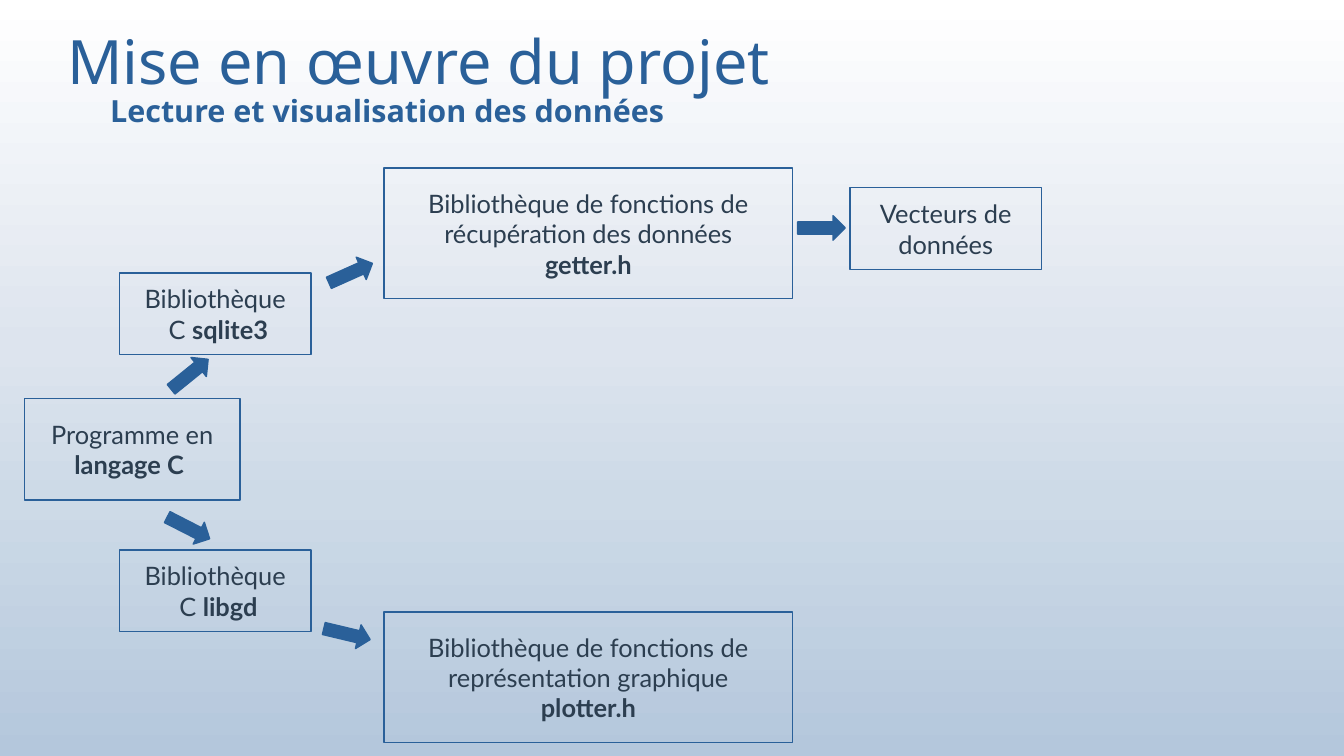
from copy import deepcopy

from pptx import Presentation
from pptx.dml.color import RGBColor
from pptx.enum.shapes import MSO_SHAPE as Shape
from pptx.enum.text import MSO_ANCHOR as Anchor, PP_ALIGN as Align
from pptx.oxml.ns import qn
from pptx.util import Inches, Pt

BLUE = RGBColor(0x2A, 0x60, 0x99)
INK = RGBColor(0x2C, 0x3E, 0x50)
BACKGROUND = [
    (0, RGBColor(0xFF, 0xFF, 0xFF)),
    (0.46, RGBColor(0xDD, 0xE4, 0xEE)),
    (0.66, RGBColor(0xCD, 0xDA, 0xE7)),
    (1, RGBColor(0xB4, 0xC7, 0xDC)),
]

TITLE = "Mise en œuvre du projet"
SUBTITLE = "Lecture et visualisation des données"

LARGE, MEDIUM, SMALL = (3.35, 1.07), (1.77, 0.83), (1.57, 0.67)
ARROW = (0.39, 0.2)

# left, top, size, paragraphs of (text, bold) runs
BOXES = [
    (0.2, 3.27, MEDIUM, [[("Programme en", False)], [("langage C ", True)]]),
    (0.98, 2.24, SMALL, [[("Bibliothèque", False)], [(" C ", False), ("sqlite3", True)]]),
    (0.98, 4.51, SMALL, [[("Bibliothèque", False)], [(" C ", False), ("libgd", True)]]),
    (3.15, 1.38, LARGE, [
        [("Bibliothèque de fonctions de récupération des données", False)],
        [("getter.h", True)]]),
    (3.15, 5.02, LARGE, [
        [("Bibliothèque de fonctions de représentation graphique", False)],
        [("plotter.h", True)]]),
    (6.97, 1.54, SMALL, [[("Vecteurs de données", False)]]),
]

# left, top, rotation in degrees
ARROWS = [
    (1.36, 2.97, 321),
    (2.68, 2.14, 335.9),
    (6.54, 1.77, 0),
    (1.35, 4.23, 27.1),
    (2.65, 5.1, 13.4),
]


def style_font(font, name, size, color):
    font.name, font.size = name, Pt(size)
    font.color.rgb = color


def paint_background(page):
    fill = page.background.fill
    fill.gradient()
    fill.gradient_angle = 270
    stop_list = page.element.find(".//" + qn("a:gsLst"))
    for _ in BACKGROUND[2:]:
        stop_list.append(deepcopy(stop_list[0]))
    for stop, (position, color) in zip(fill.gradient_stops, BACKGROUND):
        stop.position = position
        stop.color.rgb = color


def add_outlined(page, kind, left, top, size):
    shape = page.shapes.add_shape(kind, *map(Inches, (left, top, *size)))
    shape.shadow.inherit = False
    shape.line.color.rgb = BLUE
    shape.line.width = Pt(0.85)
    return shape


def add_box(page, left, top, size, paragraphs):
    box = add_outlined(page, Shape.RECTANGLE, left, top, size)
    box.fill.background()
    frame = box.text_frame
    frame.word_wrap = True
    frame.vertical_anchor = Anchor.MIDDLE
    for index, runs in enumerate(paragraphs):
        para = frame.add_paragraph() if index else frame.paragraphs[0]
        para.alignment = Align.CENTER
        style_font(para.font, "Lato", 15, INK)
        for text, bold in runs:
            span = para.add_run()
            span.text = text
            style_font(span.font, "Lato", 15, INK)
            span.font.bold = bold


def add_arrow(page, left, top, rotation):
    arrow = add_outlined(page, Shape.RIGHT_ARROW, left, top, ARROW)
    arrow.rotation = rotation
    arrow.fill.solid()
    arrow.fill.fore_color.rgb = BLUE


def add_headings(page):
    title = page.shapes.title
    title.left, title.top, title.width, title.height = map(Inches, (0.55, -0.03, 9.92, 1.04))
    frame = title.text_frame
    frame.text = TITLE
    frame.margin_left = frame.margin_right = frame.margin_top = frame.margin_bottom = 0
    subtitle = page.shapes.add_textbox(*map(Inches, (0.29, 0.71, 5.77, 0.39)))
    subtitle.text_frame.text = SUBTITLE
    for shape, size, align in ((title, 36.1, Align.LEFT), (subtitle, 18, Align.CENTER)):
        shape.text_frame.word_wrap = True
        shape.text_frame.vertical_anchor = Anchor.MIDDLE
        para = shape.text_frame.paragraphs[0]
        para.alignment = align
        style_font(para.font, "Noto Sans", size, BLUE)
    subtitle.text_frame.paragraphs[0].font.bold = True


def main():
    deck = Presentation()
    deck.slide_width, deck.slide_height = Inches(11.02), Inches(6.2)
    page = deck.slides.add_slide(deck.slide_layouts[5])
    paint_background(page)
    add_headings(page)
    for box in BOXES:
        add_box(page, *box)
    for arrow in ARROWS:
        add_arrow(page, *arrow)
    deck.save("out.pptx")


if __name__ == "__main__":
    main()
